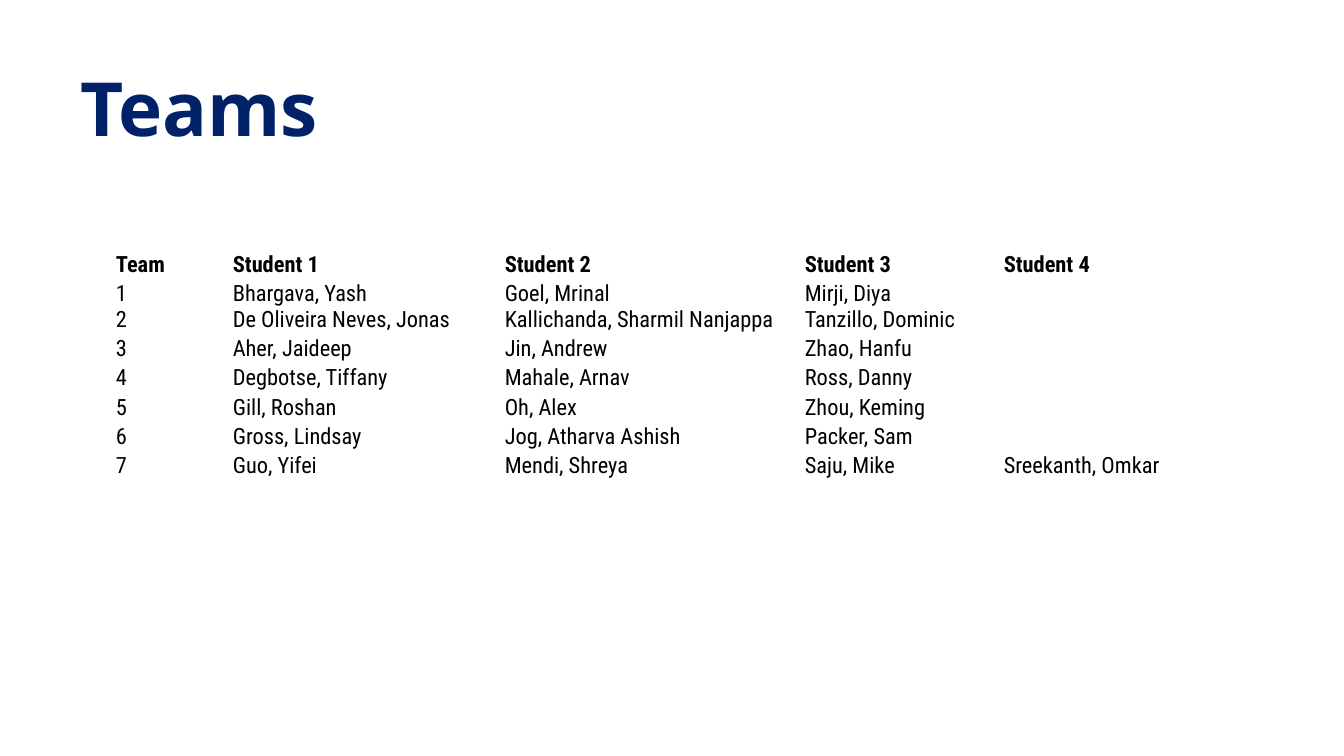
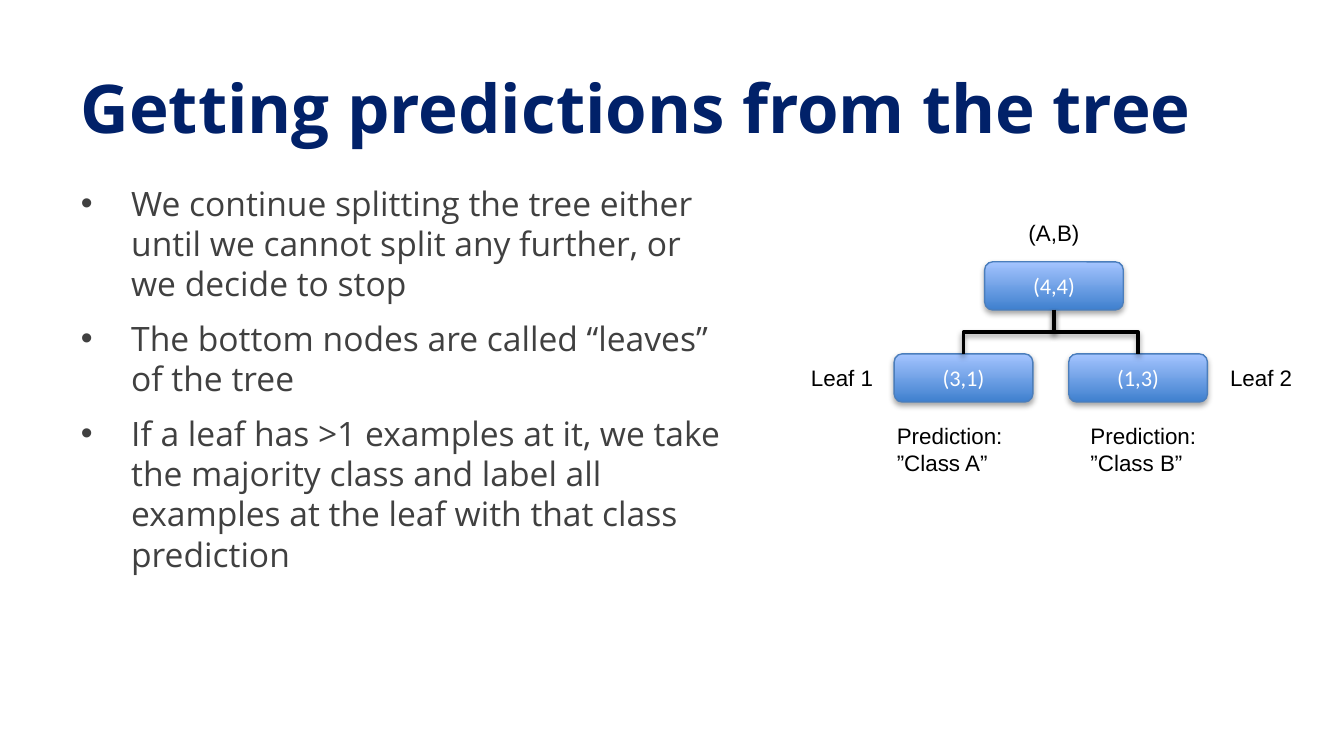
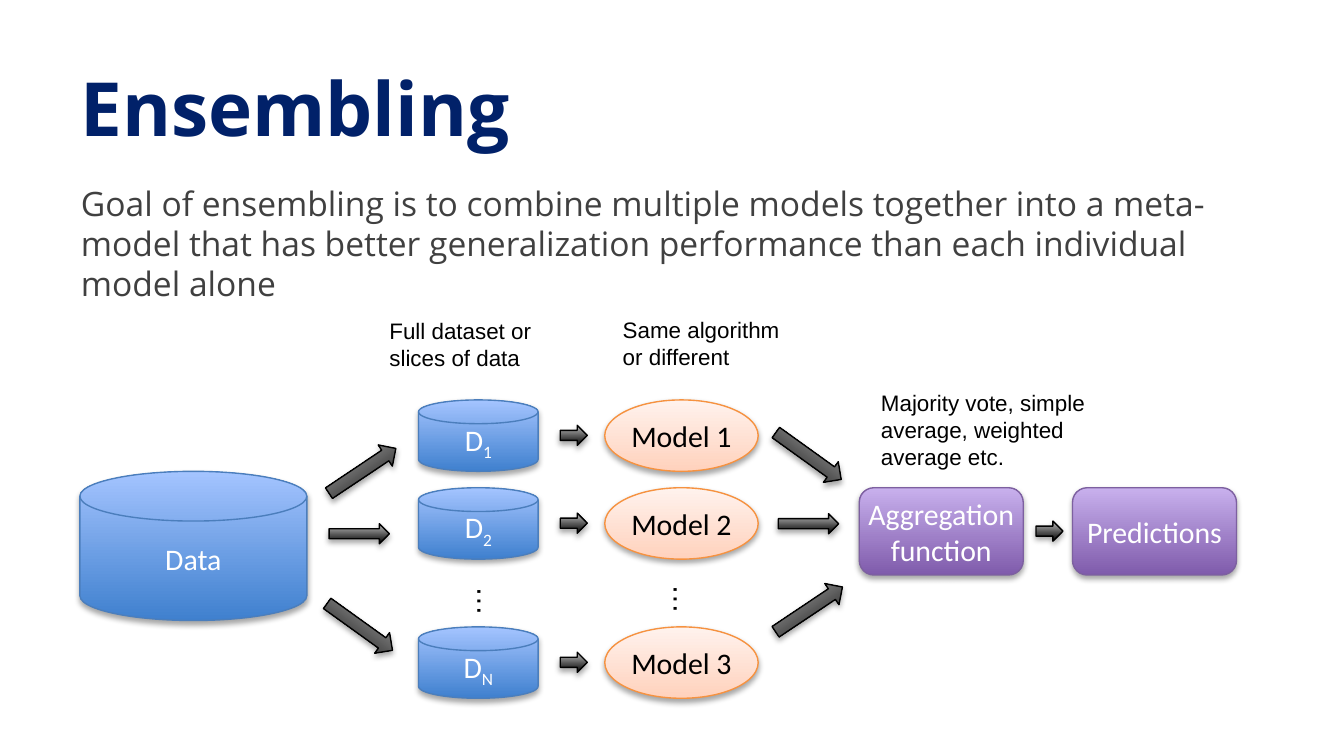
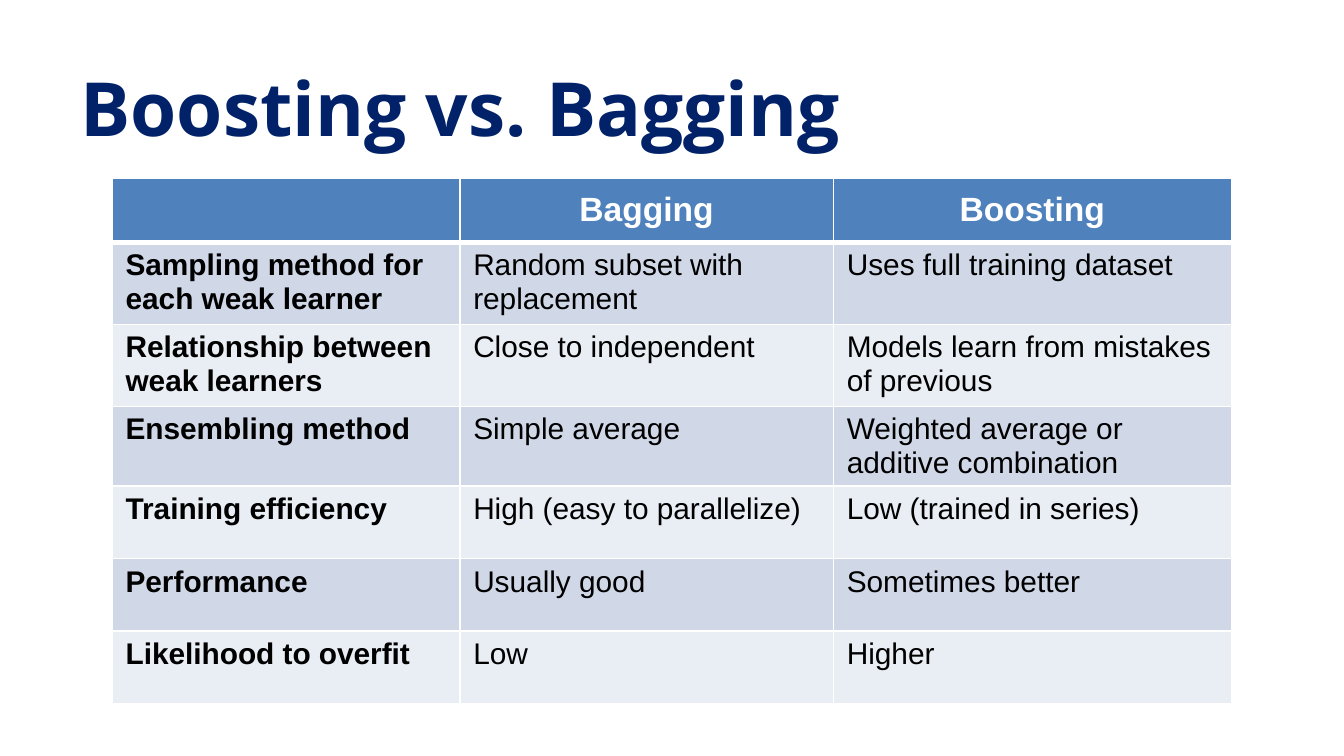
"""Build four lecture slides on teams, decision trees and ensembling."""
from lxml import etree
from pptx import Presentation
from pptx import util as u
from pptx.dml.color import RGBColor
from pptx.enum import shapes, text
from pptx.oxml import ns

COLORS = {
    "title": "012169", "body": "404040", "black": "000000", "white": "FFFFFF",
    "header": "4F81BD", "band_dark": "D0D8E8", "band_light": "E9EDF4",
}
GRADIENTS = {
    "blue": ("3F80CE", "A4C4FF", "4B7EBC"),
    "orange": ("FFD2BD", "FFF2ED", "F69240"),
    "purple": ("7F5BAB", "C8B0ED", "7D60A0"),
    "gray": ("000000", "BDBDBD", "000000"),
}
SHAPE = shapes.MSO_SHAPE
CENTER = text.PP_ALIGN.CENTER
MIDDLE = text.MSO_ANCHOR.MIDDLE
NODE_SIZE = (2.62, 0.91)
DISK_SIZE = (2.26, 1.35)
MODEL_SIZE = (2.9, 1.35)
STEP_SIZE = (3.1, 1.65)
SHORT_ARROW = (0.51, 0.38)
MEDIUM_ARROW = (1.14, 0.38)
LONG_ARROW = (1.52, 0.48)
UP, DOWN = 326.2, 35.7

TEAMS = [
    ("Team", "Student 1", "Student 2", "Student 3", "Student 4"),
    ("1", "Bhargava, Yash", "Goel, Mrinal", "Mirji, Diya", ""),
    ("2", "De Oliveira Neves, Jonas", "Kallichanda, Sharmil Nanjappa", "Tanzillo, Dominic", ""),
    ("3", "Aher, Jaideep", "Jin, Andrew", "Zhao, Hanfu", ""),
    ("4", "Degbotse, Tiffany", "Mahale, Arnav", "Ross, Danny", ""),
    ("5", "Gill, Roshan", "Oh, Alex", "Zhou, Keming", ""),
    ("6", "Gross, Lindsay", "Jog, Atharva Ashish", "Packer, Sam", ""),
    ("7", "Guo, Yifei", "Mendi, Shreya", "Saju, Mike", "Sreekanth, Omkar"),
]
COMPARISON = [
    ("", "Bagging", "Boosting"),
    ("Sampling method for each weak learner", "Random subset with replacement",
     "Uses full training dataset"),
    ("Relationship between weak learners", "Close to independent",
     "Models learn from mistakes of previous"),
    ("Ensembling method", "Simple average", "Weighted average or additive combination"),
    ("Training efficiency", "High (easy to parallelize)", "Low (trained in series)"),
    ("Performance", "Usually good", "Sometimes better"),
    ("Likelihood to overfit", "Low", "Higher"),
]


def rgb(name):
    return RGBColor.from_string(COLORS[name])


def cm(*lengths):
    return [u.Cm(length) for length in lengths]


def add_element(parent, tag, **attributes):
    child = etree.SubElement(parent, ns.qn(tag))
    for name, value in attributes.items():
        child.set(name, str(value))
    return child


def style_font(para, face, size, color, bold=False):
    font = para.font
    font.name, font.size, font.bold = face, u.Pt(size), bold
    font.color.rgb = rgb(color)


def add_shadow(effects, opacity=35, distance=1.8):
    shadow = add_element(effects, "a:outerShdw", blurRad=u.Pt(3.1), dist=u.Pt(distance),
                         dir=5400000, rotWithShape=0)
    color = add_element(shadow, "a:srgbClr", val=COLORS["black"])
    add_element(color, "a:alpha", val=opacity * 1000)


def add_page(deck, title, size=40):
    page = deck.slides.add_slide(deck.slide_layouts[5])
    box = page.shapes.title
    box.left, box.top, box.width, box.height = cm(1.27, 1.07, 22.86, 1.88)
    frame = box.text_frame
    frame.text = title
    frame.auto_size = text.MSO_AUTO_SIZE.NONE
    frame.vertical_anchor = MIDDLE
    para = frame.paragraphs[0]
    para.alignment = text.PP_ALIGN.LEFT
    style_font(para, "Open Sans", size, "title", True)
    return page


def add_body(page, width, height, lines, bulleted=False):
    frame = page.shapes.add_textbox(*cm(1.28, 3.33, width, height)).text_frame
    frame.word_wrap = True
    for index, line in enumerate(lines):
        para = frame.paragraphs[0] if index == 0 else frame.add_paragraph()
        para.text = line
        if bulleted:
            properties = para._p.get_or_add_pPr()
            properties.set("marL", str(u.Cm(0.95)))
            properties.set("indent", str(-u.Cm(0.95)))
            add_element(properties, "a:buFont", typeface="Arial")
            add_element(properties, "a:buChar", char="•")
        para.space_before = u.Pt(3.6 if index else 0)
        para.space_after = u.Pt(4)
        style_font(para, "Open Sans", 18, "body")


def add_label(page, left, top, width, height, words, size=12, align=None, rotation=0):
    box = page.shapes.add_textbox(*cm(left, top, width, height))
    box.rotation = rotation
    frame = box.text_frame
    frame.word_wrap = True
    frame.text = words
    para = frame.paragraphs[0]
    para.alignment = align
    style_font(para, "Arial", size, "black")


def add_block(page, kind, place, size, gradient, words="", subscript="", font_size=16,
              color="white", inset=0.25, rotation=0):
    box = page.shapes.add_shape(kind, *cm(*place, *size))
    box.rotation = rotation
    low, high, edge = GRADIENTS[gradient]
    box.fill.gradient()
    box.fill.gradient_angle = 90
    for stop, shade in zip(box.fill.gradient_stops, (low, high)):
        stop.color.rgb = RGBColor.from_string(shade)
    box.line.color.rgb = RGBColor.from_string(edge)
    box.line.width = u.Pt(0.75)
    box.shadow.inherit = False
    add_shadow(box.element.spPr.find(ns.qn("a:effectLst")))
    if words:
        frame = box.text_frame
        frame.vertical_anchor = MIDDLE
        frame.margin_left = frame.margin_right = u.Cm(inset)
        para = frame.paragraphs[0]
        para.alignment = CENTER
        para.add_run().text = words
        if subscript:
            span = para.add_run()
            span.text = subscript
            span._r.get_or_add_rPr().set("baseline", "-25000")
        style_font(para, "Calibri", font_size, color)
    return box


def add_arrow(page, left, top, size, rotation=0):
    add_block(page, SHAPE.RIGHT_ARROW, (left, top), size, "gray", rotation=rotation)


def add_branch(page, parent, child):
    branch = page.shapes.add_connector(shapes.MSO_CONNECTOR.ELBOW, 0, 0, 0, 0)
    branch.begin_connect(parent, 2)
    branch.end_connect(child, 0)
    start_x = parent.left + parent.width // 2
    end_x = child.left + child.width // 2
    start_y = parent.top + parent.height
    drop, run = child.top - start_y, abs(end_x - start_x)
    branch.left = (start_x + end_x - drop) // 2
    branch.top = (start_y + child.top - run) // 2
    branch.width, branch.height = drop, run
    rightward = end_x > start_x
    frame = branch.element.spPr.find(ns.qn("a:xfrm"))
    frame.set("rot", str((270 if rightward else 90) * 60000))
    frame.set("flipH", str(int(rightward)))
    frame.set("flipV", "0")
    branch.line.color.rgb = rgb("black")
    branch.line.width = u.Pt(2)
    add_shadow(add_element(branch.element.spPr, "a:effectLst"), 38, 1.6)


def add_grid(page, left, top, widths, heights, rows):
    frame = page.shapes.add_table(len(rows), len(widths),
                                  *cm(left, top, sum(widths), sum(heights)))
    grid = frame.table
    for column, width in zip(grid.columns, widths):
        column.width = u.Cm(width)
    for row, height in zip(grid.rows, heights):
        row.height = u.Cm(height)
    for row, values in zip(grid.rows, rows):
        for cell, value in zip(row.cells, values):
            cell.text = value
    return grid


def style_cell(cell, face, size, color, bold):
    para = cell.text_frame.paragraphs[0]
    style_font(para, face, size, color, bold)
    if not cell.text:
        add_element(para._p, "a:endParaRPr", sz=size * 100)


def add_borders(cell, bottom):
    properties = cell._tc.get_or_add_tcPr()
    widths = {"a:lnL": 1, "a:lnR": 1, "a:lnT": 1, "a:lnB": bottom}
    for tag, width in widths.items():
        edge = add_element(properties, tag, w=u.Pt(width))
        add_element(add_element(edge, "a:solidFill"), "a:srgbClr", val=COLORS["white"])


def build_teams(deck):
    page = add_page(deck, "Teams")
    heights = [0.49 if index == 2 else 0.55 for index in range(len(TEAMS))]
    grid = add_grid(page, 2.16, 4.7, (2.21, 5.14, 5.67, 3.76, 3.63), heights, TEAMS)
    grid.first_row = grid.horz_banding = False
    for index, row in enumerate(grid.rows):
        for cell in row.cells:
            cell.fill.background()
            cell.margin_left = cell.margin_right = cell.margin_top = u.Cm(0.03)
            cell.margin_top = cell.margin_bottom = 0
            cell.vertical_anchor = text.MSO_ANCHOR.BOTTOM
            style_cell(cell, "Roboto Condensed", 12, "black", index == 0)


def build_tree(deck):
    page = add_page(deck, "Getting predictions from the tree", 36)
    add_body(page, 12.65, 5.08, [
        "We continue splitting the tree either until we cannot split any further, "
        "or we decide to stop",
        "The bottom nodes are called “leaves” of the tree",
        "If a leaf has >1 examples at it, we take the majority class and label all "
        "examples at the leaf with that class prediction",
    ], bulleted=True)
    root, *leaves = [
        add_block(page, SHAPE.ROUNDED_RECTANGLE, place, NODE_SIZE, "blue", counts, font_size=12)
        for place, counts in (((18.61, 4.95), "(4,4)"), ((16.9, 6.69), "(3,1)"),
                              ((20.2, 6.69), "(1,3)"))]
    for leaf in leaves:
        add_branch(page, root, leaf)
    add_label(page, 18.41, 4.01, 3.02, 0.76, "(A,B)", align=CENTER)
    for left, name in ((16.7, "A"), (20.36, "B")):
        add_label(page, left, 7.85, 2.62, 1.27, f"Prediction: ”Class {name}”")
    for left, name in ((14.9, "Leaf 1"), (22.82, "Leaf 2")):
        add_label(page, left, 6.76, 2.03, 0.76, name, align=CENTER)


def build_ensembling(deck):
    page = add_page(deck, "Ensembling")
    add_body(page, 22.86, 8.84, [
        "Goal of ensembling is to combine multiple models together into a meta-model that "
        "has better generalization performance than each individual model alone"])
    disk = SHAPE.FLOWCHART_MAGNETIC_DISK
    add_block(page, disk, (1.51, 8.91), (4.29, 2.82), "blue", "Data")
    for top, subset, model in ((7.56, "1", "Model 1"), (9.22, "2", "Model 2"),
                               (11.85, "N", "Model 3")):
        add_block(page, disk, (7.91, top), DISK_SIZE, "blue", "D", subset)
        add_arrow(page, 10.59, top + 0.48, SHORT_ARROW)
        add_block(page, SHAPE.OVAL, (11.43, top), MODEL_SIZE, "orange", model,
                  color="black", inset=0.05)
    for left, top in ((8.73, 10.87), (12.44, 10.83)):
        add_label(page, left, top, 1.02, 0.94, "…", size=16, rotation=90)
    for left, top, size, rotation in (
            (6.09, 8.66, LONG_ARROW, UP), (6.22, 9.9, MEDIUM_ARROW, 0),
            (6.04, 11.61, LONG_ARROW, DOWN), (14.52, 8.38, LONG_ARROW, DOWN),
            (14.71, 9.71, MEDIUM_ARROW, 0), (14.53, 11.28, LONG_ARROW, UP),
            (19.58, 9.85, SHORT_ARROW, 0)):
        add_arrow(page, left, top, size, rotation)
    for left, step in ((16.24, "Aggregation function"), (20.27, "Predictions")):
        add_block(page, SHAPE.ROUNDED_RECTANGLE, (left, 9.22), STEP_SIZE, "purple", step,
                  inset=0.05)
    add_label(page, 7.11, 5.87, 3.28, 1.27, "Full dataset or slices of data")
    add_label(page, 11.52, 5.85, 3.61, 1.27, "Same algorithm or different")
    add_label(page, 16.4, 7.24, 5.23, 1.8,
              "Majority vote, simple average, weighted average etc.")


def build_comparison(deck):
    page = add_page(deck, "Boosting vs. Bagging")
    heights = [1.22] + [1.55] * 2 + [1.37] * 4
    grid = add_grid(page, 2.12, 3.36, (6.57, 7.06, 7.52), heights, COMPARISON)
    for index, row in enumerate(grid.rows):
        header = index == 0
        band = "header" if header else "band_dark" if index % 2 else "band_light"
        for column, cell in enumerate(row.cells):
            add_borders(cell, 3 if header else 1)
            cell.fill.solid()
            cell.fill.fore_color.rgb = rgb(band)
            if header:
                cell.vertical_anchor = MIDDLE
                cell.text_frame.paragraphs[0].alignment = CENTER
            style_cell(cell, "Arial", 18 if header else 16,
                       "white" if header else "black", header or column == 0)


def main():
    deck = Presentation()
    deck.slide_width, deck.slide_height = cm(25.4, 14.29)
    build_teams(deck)
    build_tree(deck)
    build_ensembling(deck)
    build_comparison(deck)
    deck.save("out.pptx")


if __name__ == "__main__":
    main()
